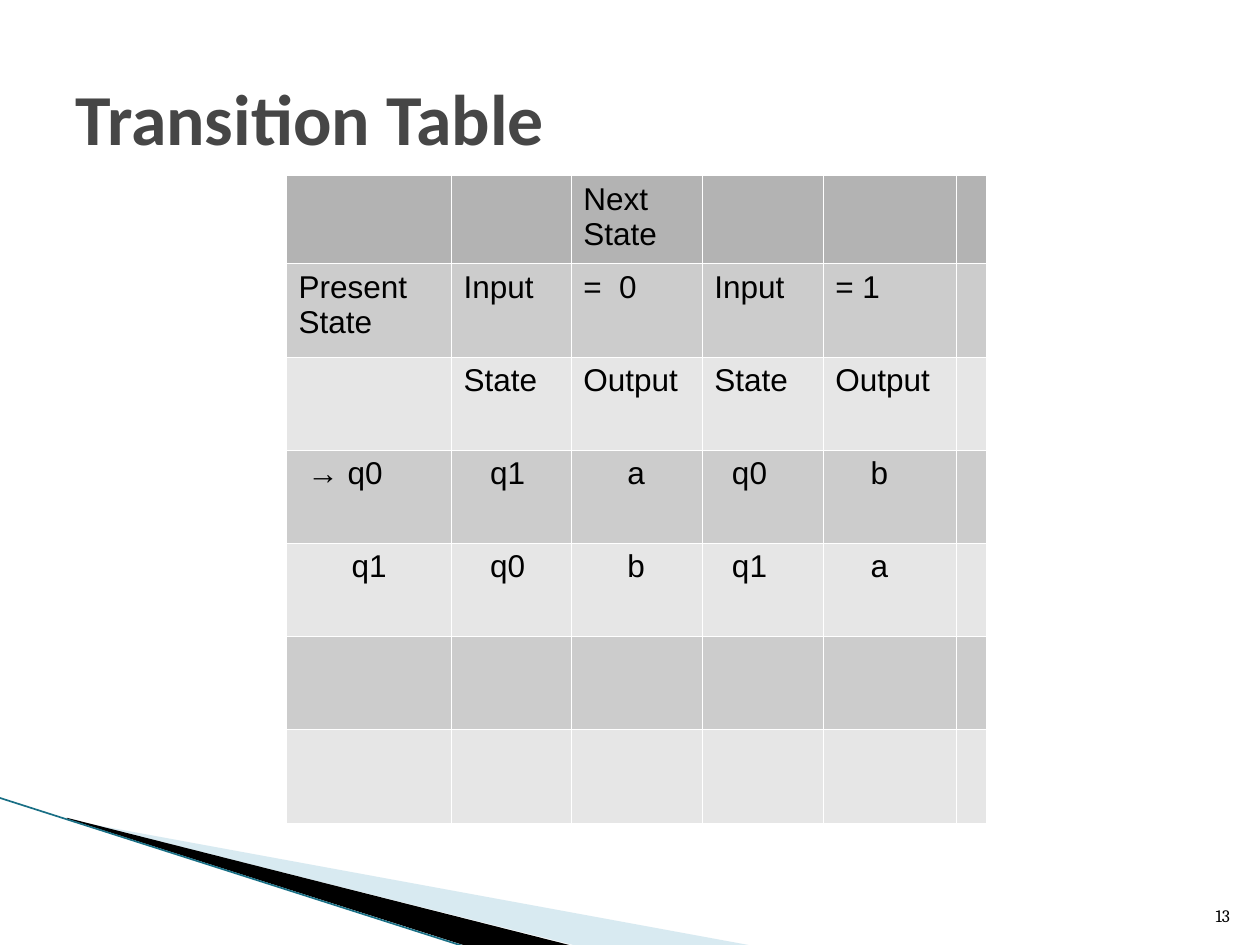
from lxml import etree
from pptx import Presentation, util as u
from pptx.dml.color import RGBColor
from pptx.enum import shapes, text
from pptx.oxml import ns

deck = Presentation()
deck.slide_width, deck.slide_height = u.Inches(10), u.Inches(7.5)
unit = deck.slide_width / 100
slide = deck.slides.add_slide(deck.slide_layouts[6])


def grid(*steps):
    return [round(step * unit) for step in steps]


def paint(target, color):
    target.solid()
    target.fore_color.rgb = RGBColor.from_string(color)


wedges = [
    ("9FCBDC", 40, [(5.5, 65.1), (59.4, 75), (45.5, 75), (5.5, 65)]),
    ("000000", 100, [(5.3, 64.9), (45.6, 75.1), (37.1, 75.1), (5.4, 65)]),
]
for color, opacity, corners in wedges:
    outline = slide.shapes.build_freeform(*grid(*corners[0]), scale=1.0)
    outline.add_line_segments([grid(*corner) for corner in corners[1:]], close=True)
    wedge = outline.convert_to_shape()
    wedge.shadow.inherit = False
    wedge.line.fill.background()
    paint(wedge.fill, color)
    if opacity < 100:
        tint = wedge.fill._xPr.find(".//" + ns.qn("a:srgbClr"))
        etree.SubElement(tint, ns.qn("a:alpha"), val=str(opacity * 1000))

edge = slide.shapes.add_connector(shapes.MSO_CONNECTOR.STRAIGHT, *grid(-0.1, 63.3, 37.1, 75.2))
paint(edge.line.fill, "196F85")
edge.line.width = u.Pt(0.96)
etree.SubElement(edge._element.spPr, ns.qn("a:effectLst"))

labels = [
    ("13", (94.6, 70.1, 4, 3.9), "Cambria", 10, "000000", False,
     text.PP_ALIGN.RIGHT, text.MSO_ANCHOR.BOTTOM),
    ("Transition Table", (5, 3, 90, 12.5), "Calibri", 41, "464646", True,
     text.PP_ALIGN.LEFT, text.MSO_ANCHOR.MIDDLE),
]
for words, place, font, size, color, bold, align, anchor in labels:
    frame = slide.shapes.add_textbox(*grid(*place)).text_frame
    frame.word_wrap = True
    frame.vertical_anchor = anchor
    frame.paragraphs[0].alignment = align
    run = frame.paragraphs[0].add_run()
    run.text = words
    run.font.name, run.font.size, run.font.bold = font, u.Pt(size), bold
    paint(run.font.fill, color)

columns = [13.1, 9.5, 10.4, 9.6, 10.6, 2.4]
rows = [6.6] + [7.4] * 6
transitions = [
    ["", "", "Next State"],
    ["Present State", "Input", "=  0", "Input", "= 1"],
    ["", "State", "Output", "State", "Output"],
    ["→ q0", "q1", "a", "q0", "b"],
    ["q1", "q0", "b", "q1", "a"],
]
indents = {3: [1, 3, 5, 2, 4], 4: [6, 3, 5, 2, 4]}
space_width = 0.7
bands = ["B3B3B3"] + ["CCCCCC", "E6E6E6"] * 3

table = slide.shapes.add_table(
    len(rows), len(columns), *grid(22.7, 13.9, sum(columns), sum(rows))).table
table.first_row = table.horz_banding = False
for column, width in zip(table.columns, grid(*columns)):
    column.width = width
for r, height in enumerate(grid(*rows)):
    table.rows[r].height = height
    for c in range(len(columns)):
        cell = table.cell(r, c)
        properties = cell._tc.get_or_add_tcPr()
        for side in ("lnL", "lnR", "lnT", "lnB"):
            border = etree.SubElement(properties, ns.qn("a:" + side), w=str(u.Pt(0.06)))
            solid = etree.SubElement(border, ns.qn("a:solidFill"))
            etree.SubElement(solid, ns.qn("a:srgbClr"), val="FFFFFF")
        paint(cell.fill, bands[r])
        if r < len(transitions) and c < len(transitions[r]) and transitions[r][c]:
            spaces = indents[r][c] if r in indents else 0
            cell.margin_left = grid(1 + spaces * space_width)[0]
            run = cell.text_frame.paragraphs[0].add_run()
            run.text = transitions[r][c]
            run.font.name, run.font.size = "Arial", u.Pt(18)
            paint(run.font.fill, "000000")

deck.save("out.pptx")
